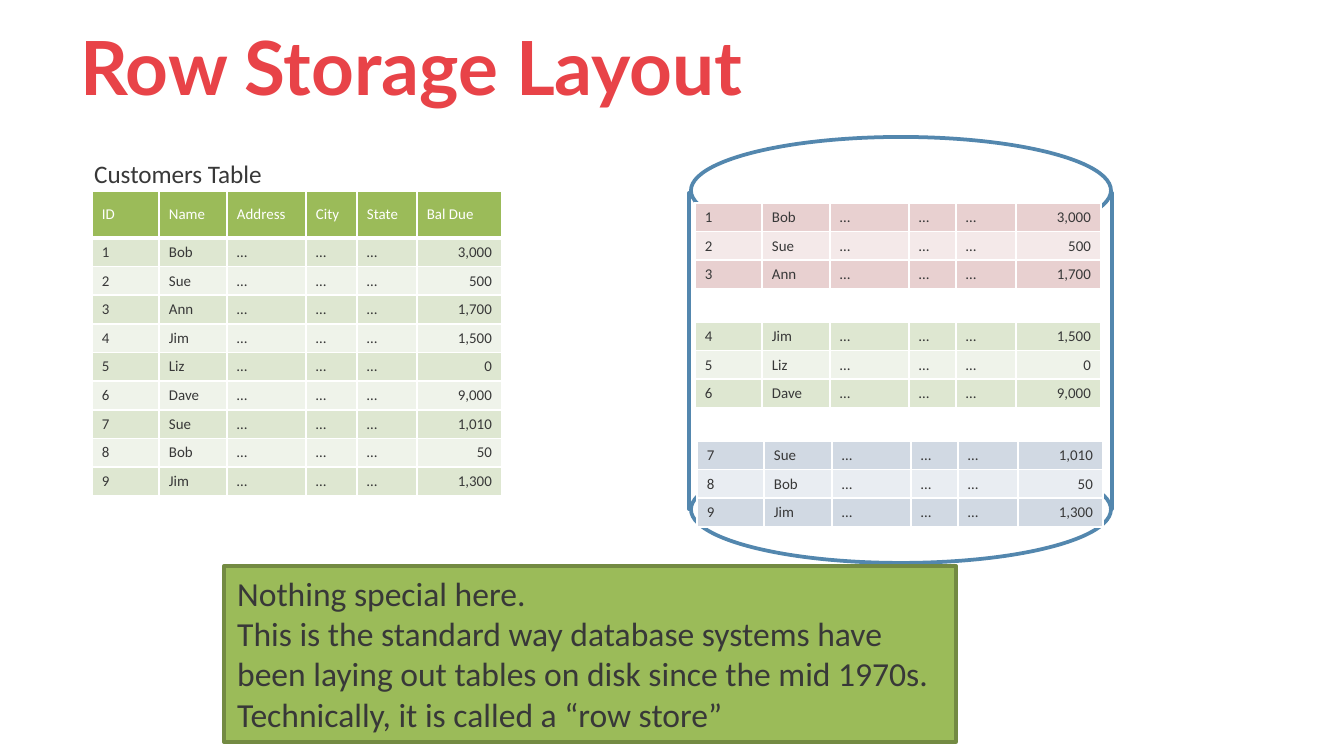
"""Build a slide comparing a customers table with its row storage layout on disk."""
from lxml.etree import SubElement
from pptx import Presentation
from pptx.dml.color import RGBColor as RGB
from pptx.enum.shapes import MSO_SHAPE as SHAPE
from pptx.enum.text import MSO_ANCHOR as ANCHOR, MSO_AUTO_SIZE as AUTO, PP_ALIGN as ALIGN
from pptx.oxml.ns import qn
from pptx.util import Emu, Pt

PX = 9144000 / 1344
COLORS = {
    "title": "E84348", "text": "383838", "white": "FFFFFF",
    "green": "9BBB59", "green_line": "738A42", "disk_line": "5387AE",
    "green_dark": "DEE7D1", "green_light": "EFF3EA",
    "red_dark": "E8D0D0", "red_light": "F4E9E9",
    "blue_dark": "D1D9E3", "blue_light": "E9EDF2",
}
HEADER = ["ID", "Name", "Address", "City", "State", "Bal Due"]
CUSTOMERS = [
    ("Bob", "3,000"), ("Sue", "500"), ("Ann", "1,700"),
    ("Jim", "1,500"), ("Liz", "0"), ("Dave", "9,000"),
    ("Sue", "1,010"), ("Bob", "50"), ("Jim", "1,300"),
]
ROWS = [[str(i), name, "…", "…", "…", due] for i, (name, due) in enumerate(CUSTOMERS, 1)]


def box(*lengths):
    return [Emu(round(n * PX)) for n in lengths]


def add_run(p, text, size, color, font="Calibri", bold=False):
    r = p.add_run()
    r.text = text
    r.font.size, r.font.name, r.font.bold = Pt(size), font, bold
    r.font.color.rgb = RGB.from_string(COLORS[color])


prs = Presentation()
prs.slide_width, prs.slide_height = box(1344, 756)
s = prs.slides.add_slide(prs.slide_layouts[5])

title = s.shapes.title
title.left, title.top, title.width, title.height = box(67, 1, 1277, 129)
tf = title.text_frame
tf.auto_size, tf.vertical_anchor = AUTO.NONE, ANCHOR.MIDDLE
p = tf.paragraphs[0]
p.alignment = ALIGN.LEFT
add_run(p, "Row Storage Layout", 40, "title", "Lato", True)

disk = s.shapes.add_group_shape()
for kind, bounds in [
    (SHAPE.RECTANGLE, (689, 193, 423, 316)),
    (SHAPE.OVAL, (691, 456, 420, 107)),
    (SHAPE.OVAL, (691, 137, 420, 107)),
]:
    sp = disk.shapes.add_shape(kind, *box(*bounds))
    sp.shadow.inherit = False
    sp.fill.solid()
    sp.fill.fore_color.rgb = RGB.from_string(COLORS["white"])
    sp.line.color.rgb = RGB.from_string(COLORS["disk_line"])
    sp.line.width = Pt(2)

for left, top, city_width, hue, header, rows in [
    (92, 191, 51, "green", [HEADER], ROWS),
    (695, 203, 47, "red", [], ROWS[:3]),
    (695, 322, 47, "green", [], ROWS[3:6]),
    (697, 441, 47, "blue", [], ROWS[6:]),
]:
    widths = [67, 68, 79, city_width, 60, 85]
    body_height = 86 * len(rows) / 3
    cells = header + rows
    frame = s.shapes.add_table(len(cells), len(widths),
                               *box(left, top, sum(widths), 47 * len(header) + body_height))
    table = frame.table
    table.first_row = table.horz_banding = False
    for column, width in zip(table.columns, box(*widths)):
        column.width = width
    for i, values in enumerate(cells):
        is_header = i < len(header)
        table.rows[i].height = box(47 if is_header else body_height / len(rows))[0]
        shade = "dark" if (i - len(header)) % 2 == 0 else "light"
        fill = "green" if is_header else f"{hue}_{shade}"
        for j, value in enumerate(values):
            cell = table.cell(i, j)
            cell.vertical_anchor = ANCHOR.MIDDLE
            cell.margin_left, cell.margin_right = box(10, 10)
            cell.margin_top, cell.margin_bottom = box(5, 5)
            p = cell.text_frame.paragraphs[0]
            if j == len(values) - 1 and not is_header:
                p.alignment = ALIGN.RIGHT
            add_run(p, value, 8, "white" if is_header else "text")
            tc_pr = cell._tc.get_or_add_tcPr()
            for side in ["lnL", "lnR", "lnT", "lnB"]:
                thick = is_header and side == "lnB" or header and i == 1 and side == "lnT"
                ln = SubElement(tc_pr, qn(f"a:{side}"), w=str(Pt(3 if thick else 1)))
                SubElement(SubElement(ln, qn("a:solidFill")), qn("a:srgbClr"), val=COLORS["white"])
            cell.fill.solid()
            cell.fill.fore_color.rgb = RGB.from_string(COLORS[fill])

note = s.shapes.add_shape(SHAPE.RECTANGLE, *box(224, 566, 732, 176))
note.shadow.inherit = False
note.fill.solid()
note.fill.fore_color.rgb = RGB.from_string(COLORS["green"])
note.line.color.rgb = RGB.from_string(COLORS["green_line"])
note.line.width = Pt(2)
tf = note.text_frame
tf.word_wrap, tf.vertical_anchor = True, ANCHOR.TOP
for i, line in enumerate([
    "Nothing special here.",
    "This is the standard way database systems have been laying out tables on disk since the mid 1970s.",
    "Technically, it is called a “row store”",
]):
    p = tf.add_paragraph() if i else tf.paragraphs[0]
    p.alignment = ALIGN.LEFT
    add_run(p, line, 18, "text")

caption = s.shapes.add_textbox(*box(81, 152, 325, 44))
caption.text_frame.word_wrap = True
add_run(caption.text_frame.paragraphs[0], "Customers Table", 13.5, "text")

prs.save("out.pptx")
